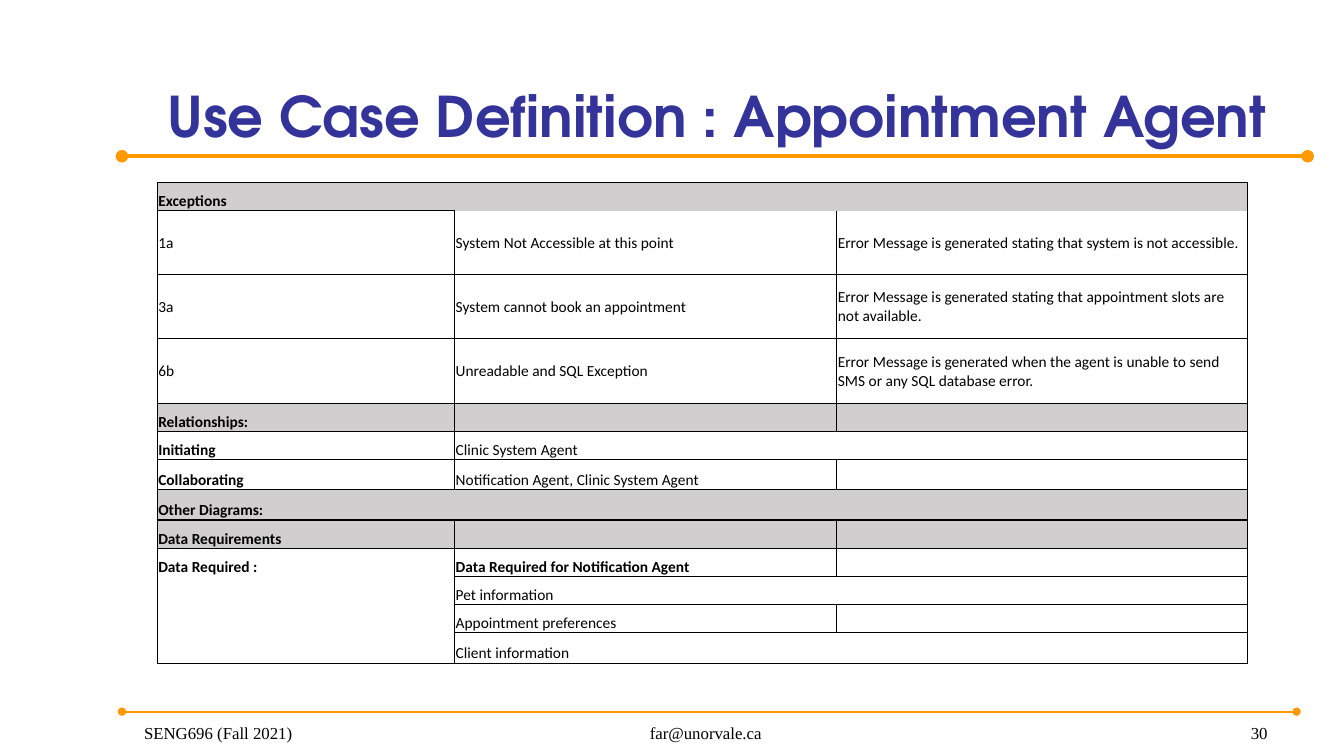
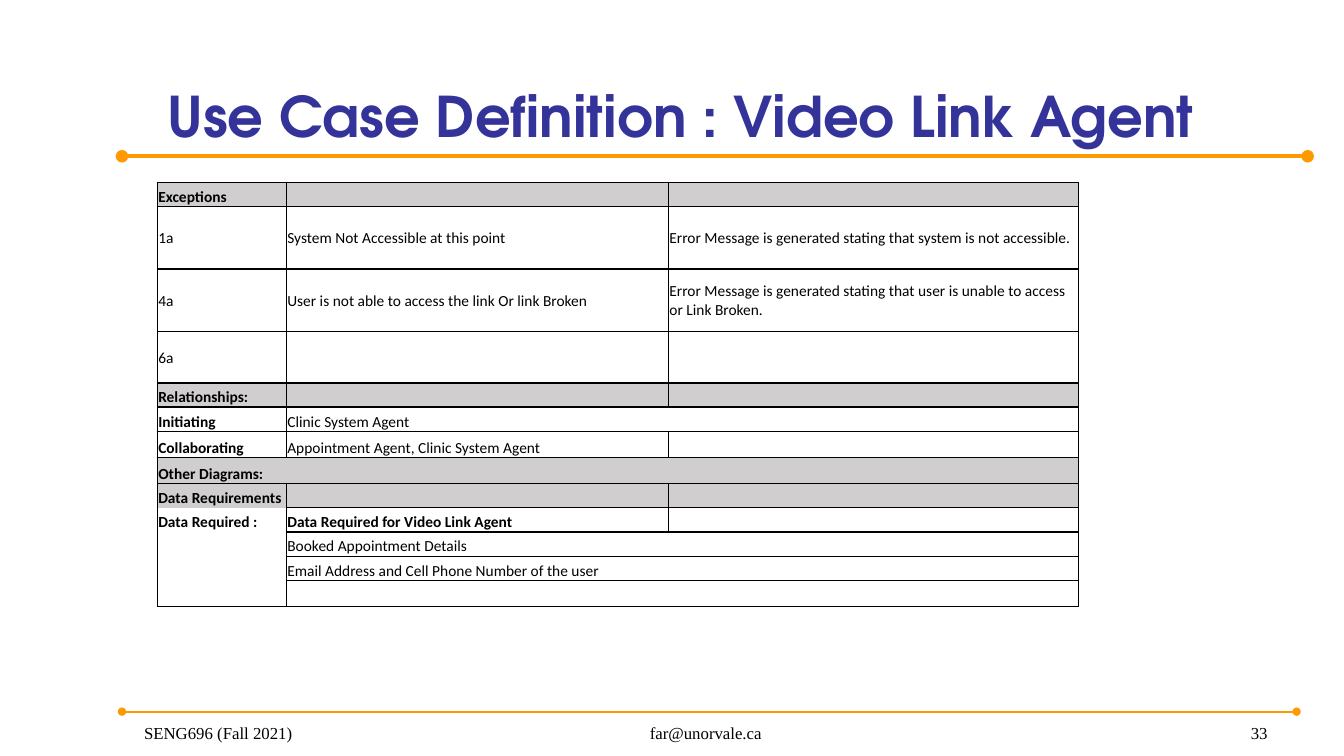
from dataclasses import dataclass

from lxml import etree
from pptx import Presentation
from pptx.dml.color import RGBColor
from pptx.enum.shapes import MSO_CONNECTOR
from pptx.enum.text import MSO_ANCHOR, MSO_AUTO_SIZE, PP_ALIGN
from pptx.oxml.ns import qn
from pptx.util import Inches, Pt

STRAIGHT = MSO_CONNECTOR.STRAIGHT
BOTTOM, MIDDLE = MSO_ANCHOR.BOTTOM, MSO_ANCHOR.MIDDLE
LEFT, CENTER, RIGHT = PP_ALIGN.LEFT, PP_ALIGN.CENTER, PP_ALIGN.RIGHT
NO_AUTOFIT = MSO_AUTO_SIZE.NONE
TITLE_ONLY = 5
PLAIN_TABLE_STYLE = "{2D5ABB26-0587-4C30-8999-92F81FD0307C}"


@dataclass(frozen=True)
class Theme:
    """Hold the colours and type formats of the deck."""

    rule = RGBColor.from_string("FF9900")
    band = RGBColor.from_string("D0CECE")
    border = "000000"
    title = {"name": "TeX Gyre Adventor", "size": Pt(40), "bold": True,
             "color": RGBColor.from_string("333399")}
    footer = {"name": "Times New Roman", "size": Pt(12),
              "color": RGBColor.from_string("000000")}
    cell = {"name": "Calibri", "size": Pt(11),
            "color": RGBColor.from_string("000000")}


THEME = Theme()
TITLE_BOX = (1.56, 0.28, 11.49, 1.25)
RULES = ((1.21, 12.97, 1.55, 3), (1.21, 12.86, 7.06, 1.5))
FOOTER_TOP, FOOTER_HEIGHT = 6.98, 0.44
COURSE, CONTACT = "SENG696 (Fall 2021)", "far@unorvale.ca"
TABLE_ORIGIN = (1.56, 1.81)

ROW_STYLES = {
    "band": {"anchor": BOTTOM, "bold": (True, True, True), "fill": THEME.band},
    "step": {"anchor": MIDDLE, "bold": (False, False, False), "fill": None},
    "item": {"anchor": BOTTOM, "bold": (True, False, False), "fill": None},
    "head": {"anchor": BOTTOM, "bold": (True, True, True), "fill": None},
}
DATA_COLUMN = {(9, 0): "B", (10, 0): "TB", (11, 0): "TB", (12, 0): "T"}

APPOINTMENT = {
    "title": "Use Case Definition : Appointment Agent",
    "number": "30",
    "columns": (2.95, 3.79, 4.07),
    "heights": (0.28, 0.63, 0.64, 0.64, 0.28, 0.28, 0.3, 0.3,
                0.28, 0.28, 0.28, 0.28, 0.3),
    "steps": (
        ("1a", "System Not Accessible at this point",
         "Error Message is generated stating that system is not accessible."),
        ("3a", "System cannot book an appointment",
         "Error Message is generated stating that appointment slots are not available."),
        ("6b", "Unreadable and SQL Exception",
         "Error Message is generated when the agent is unable to send SMS "
         "or any SQL database error."),
    ),
    "collaborating": "Notification Agent, Clinic System Agent",
    "data_heading": "Data Required for Notification Agent",
    "data": (("", "Pet information"), ("", "Appointment preferences", ""),
             ("", "Client information")),
    "open_sides": DATA_COLUMN | {(0, 0): "R", (0, 1): "LRB", (0, 2): "LB",
                                 (1, 1): "T", (1, 2): "T"},
    "thin_sides": {(4, "B"), (5, "T")},
}
VIDEO_LINK = {
    "title": "Use Case Definition : Video Link Agent",
    "number": "33",
    "columns": (1.28, 3.79, 4.07),
    "heights": (0.24, 0.62, 0.62, 0.51, 0.24, 0.24, 0.26, 0.26,
                0.24, 0.24, 0.24, 0.24, 0.26),
    "steps": (
        ("1a", "System Not Accessible at this point",
         "Error Message is generated stating that system is not accessible."),
        ("4a", "User is not able to access the link Or link Broken",
         "Error Message is generated stating that user is unable to access or Link Broken."),
        ("6a", "", ""),
    ),
    "collaborating": "Appointment Agent, Clinic System Agent",
    "data_heading": "Data Required for Video Link Agent",
    "data": (("", "Booked Appointment Details"),
             ("", "Email Address and Cell Phone Number of the user"), ("", "")),
    "open_sides": DATA_COLUMN | {(8, 0): "B", (9, 0): "TB"},
    "thin_sides": set(),
}


def format_font(font, values):
    """Apply a dict of format values to a font."""
    for name, value in values.items():
        if name == "color":
            font.color.rgb = value
        else:
            setattr(font, name, value)


def write_text(frame, text, values, alignment=LEFT):
    """Write one formatted paragraph, sizing the empty ones too."""
    paragraph = frame.paragraphs[0]
    paragraph.alignment = alignment
    if text:
        run = paragraph.add_run()
        run.text = text
        format_font(run.font, values)
    else:
        end = etree.SubElement(paragraph._p, qn("a:endParaRPr"))
        end.set("sz", str(int(values["size"].pt * 100)))


def add_title(slide, text, box):
    """Move the title placeholder to its box and fill it."""
    title = slide.shapes.title
    for name, value in zip(("left", "top", "width", "height"), box):
        setattr(title, name, Inches(value))
    frame = title.text_frame
    for name, value in {"word_wrap": True, "auto_size": NO_AUTOFIT,
                        "vertical_anchor": BOTTOM}.items():
        setattr(frame, name, value)
    write_text(frame, text, THEME.title)


def add_rule(slide, left, right, top, weight):
    """Draw a horizontal rule with a dot at both ends."""
    connector = slide.shapes.add_connector(
        STRAIGHT, Inches(left), Inches(top), Inches(right), Inches(top))
    connector.line.color.rgb = THEME.rule
    connector.line.width = Pt(weight)
    line = connector.line._get_or_add_ln()
    for end in ("a:headEnd", "a:tailEnd"):
        etree.SubElement(line, qn(end)).set("type", "oval")
    etree.SubElement(connector._element.spPr, qn("a:effectLst"))


def add_footer(slide, number, top, height):
    """Place the course, contact and slide number along the bottom."""
    parts = ((1.33, 2.78, COURSE, LEFT), (4.89, 4.22, CONTACT, CENTER),
             (9.89, 2.78, number, RIGHT))
    for left, width, text, alignment in parts:
        shape = slide.shapes.add_textbox(
            Inches(left), Inches(top), Inches(width), Inches(height))
        shape.text_frame.word_wrap = True
        shape.text_frame.vertical_anchor = BOTTOM
        write_text(shape.text_frame, text, THEME.footer, alignment)


def set_borders(cell, weights):
    """Set the four cell borders, leaving out those of zero weight."""
    properties = cell._tc.get_or_add_tcPr()
    for index, (side, weight) in enumerate(weights.items()):
        line = etree.Element(qn(f"a:ln{side}"), w=str(Pt(weight)))
        if weight:
            fill = etree.SubElement(line, qn("a:solidFill"))
            etree.SubElement(fill, qn("a:srgbClr")).set("val", THEME.border)
        else:
            etree.SubElement(line, qn("a:noFill"))
        properties.insert(index, line)


def format_cell(cell, style):
    """Set the margins, anchor and fill of a cell."""
    values = {"margin_left": Inches(0.01), "margin_right": Inches(0.01),
              "margin_top": Inches(0.01), "margin_bottom": 0,
              "vertical_anchor": style["anchor"]}
    for name, value in values.items():
        setattr(cell, name, value)
    if style["fill"] is None:
        cell.fill.background()
    else:
        cell.fill.solid()
        cell.fill.fore_color.rgb = style["fill"]


def use_case_rows(case):
    """List the row kinds and texts; a short row spans its last text."""
    return [
        ("band", ("Exceptions", "", "")),
        *(("step", step) for step in case["steps"]),
        ("band", ("Relationships:", "", "")),
        ("item", ("Initiating", "Clinic System Agent")),
        ("item", ("Collaborating", case["collaborating"], "")),
        ("band", ("Other Diagrams:",)),
        ("band", ("Data Requirements", "", "")),
        ("head", ("Data Required :", case["data_heading"], "")),
        *(("item", texts) for texts in case["data"]),
    ]


def add_use_case_table(slide, case, left, top):
    """Build the use case table from its top left corner."""
    rows, columns, heights = use_case_rows(case), case["columns"], case["heights"]
    frame = slide.shapes.add_table(
        len(rows), len(columns), Inches(left), Inches(top),
        Inches(sum(columns)), Inches(sum(heights)))
    table = frame.table
    table.first_row = table.horz_banding = False
    table._tbl.tblPr.find(qn("a:tableStyleId")).text = PLAIN_TABLE_STYLE
    for column, width in zip(table.columns, columns):
        column.width = Inches(width)
    last = len(columns) - 1
    for row, (kind, texts) in enumerate(rows):
        table.rows[row].height = Inches(heights[row])
        style = ROW_STYLES[kind]
        for column in range(len(columns)):
            cell = table.cell(row, column)
            format_cell(cell, style)
            text = texts[column] if column < len(texts) else ""
            write_text(cell.text_frame, text,
                       THEME.cell | {"bold": style["bold"][column]})
            open_sides = case["open_sides"].get((row, column), "")
            set_borders(cell, {
                side: 0 if side in open_sides
                else 0.5 if (row, side) in case["thin_sides"] else 1
                for side in "LRTB"})
        if len(texts) <= last:
            table.cell(row, len(texts) - 1).merge(table.cell(row, last))


def add_use_case_slide(presentation, case):
    """Add one use case slide with its title, rules, table and footer."""
    slide = presentation.slides.add_slide(presentation.slide_layouts[TITLE_ONLY])
    for rule in RULES:
        add_rule(slide, *rule)
    add_title(slide, case["title"], TITLE_BOX)
    add_use_case_table(slide, case, *TABLE_ORIGIN)
    add_footer(slide, case["number"], FOOTER_TOP, FOOTER_HEIGHT)


def main():
    """Build and save the presentation."""
    presentation = Presentation()
    presentation.slide_width = Inches(13.33)
    presentation.slide_height = Inches(7.5)
    for case in (APPOINTMENT, VIDEO_LINK):
        add_use_case_slide(presentation, case)
    presentation.save("out.pptx")


if __name__ == "__main__":
    main()
